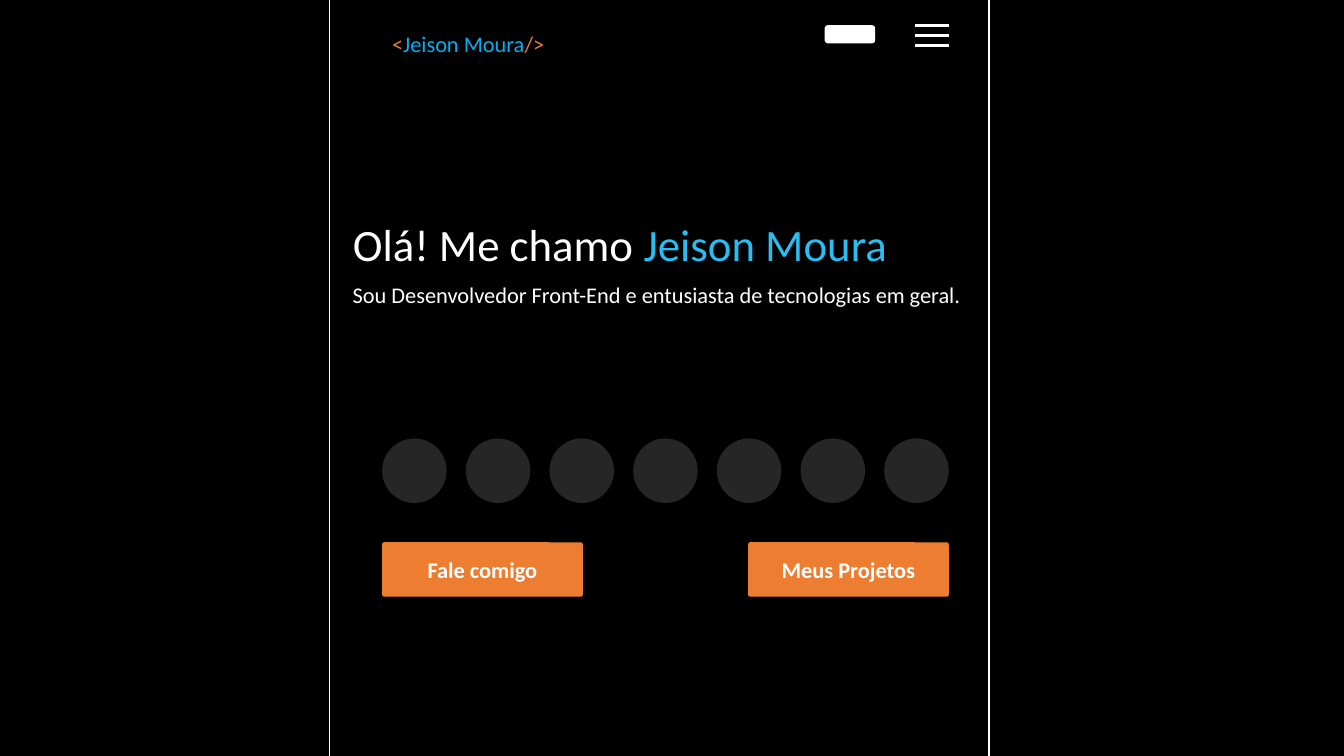
from lxml.etree import SubElement
from pptx import Presentation
from pptx.dml.color import RGBColor
from pptx.enum.shapes import MSO_CONNECTOR, MSO_SHAPE
from pptx.enum.text import MSO_ANCHOR, MSO_AUTO_SIZE, PP_ALIGN
from pptx.oxml.ns import qn
from pptx.util import Inches, Pt

BLACK = "000000"
WHITE = "FFFFFF"
ORANGE = "ED7D31"
LOGO_BLUE = "00B0F0"
NAME_BLUE = "2ABDF2"
DARK_GREY = "262626"


def rgb(hex_color):
    return RGBColor.from_string(hex_color)


class PageBuilder:
    """Holds the text style and the slide being drawn."""

    font = "Calibri"

    def __init__(self, slide):
        self.slide = slide

    def background(self, color):
        fill = self.slide.background.fill
        fill.solid()
        fill.fore_color.rgb = rgb(color)

    def add_runs(self, frame, parts, size, bold=False):
        """Fill the first paragraph with (text, colour) parts."""
        paragraph = frame.paragraphs[0]
        for text, color in parts:
            run = paragraph.add_run()
            run.text = text
            run.font.name = self.font
            run.font.size = Pt(size)
            run.font.bold = bold
            run.font.color.rgb = rgb(color)
        return paragraph

    def one_line(self, holder, parts, size):
        frame = holder.text_frame
        frame.word_wrap = False
        frame.auto_size = MSO_AUTO_SIZE.SHAPE_TO_FIT_TEXT
        frame.vertical_anchor = MSO_ANCHOR.TOP
        self.add_runs(frame, parts, size).alignment = PP_ALIGN.LEFT

    def title(self, left, top, width, height, parts, size):
        heading = self.slide.shapes.title
        heading.left, heading.top = Inches(left), Inches(top)
        heading.width, heading.height = Inches(width), Inches(height)
        self.one_line(heading, parts, size)

    def text(self, left, top, width, height, parts, size):
        box = self.slide.shapes.add_textbox(
            Inches(left), Inches(top), Inches(width), Inches(height))
        self.one_line(box, parts, size)

    def shape(self, preset, left, top, width, height, fill=None, line=None):
        item = self.slide.shapes.add_shape(
            preset, Inches(left), Inches(top), Inches(width), Inches(height))
        item.shadow.inherit = False
        if fill:
            item.fill.solid()
            item.fill.fore_color.rgb = rgb(fill)
        else:
            item.fill.background()
        if line:
            item.line.color.rgb = rgb(line)
            item.line.width = Pt(1)
        else:
            item.line.fill.background()
        return item

    def button(self, left, label):
        item = self.shape(MSO_SHAPE.ROUNDED_RECTANGLE, left, 5.38, 1.99, 0.54, ORANGE)
        item.adjustments[0] = 0.04
        frame = item.text_frame
        frame.vertical_anchor = MSO_ANCHOR.MIDDLE
        self.add_runs(frame, [(label, WHITE)], 16, bold=True).alignment = PP_ALIGN.CENTER

    def horizontal_line(self, left, right, y):
        bar = self.slide.shapes.add_connector(
            MSO_CONNECTOR.STRAIGHT, Inches(left), Inches(y), Inches(right), Inches(y))
        bar.line.color.rgb = rgb(WHITE)
        bar.line.width = Pt(2.25)
        SubElement(bar._element.spPr, qn("a:effectLst"))


def main():
    presentation = Presentation()
    presentation.slide_width = Inches(13.33)
    presentation.slide_height = Inches(7.5)
    title_only = presentation.slide_layouts[5]
    page = PageBuilder(presentation.slides.add_slide(title_only))

    page.background(BLACK)
    page.shape(MSO_SHAPE.RECTANGLE, 3.27, -0.18, 6.54, 7.86, line=WHITE)
    page.text(3.79, 0.25, 1.75, 0.37,
              [("<", ORANGE), ("Jeison Moura", LOGO_BLUE), ("/>", ORANGE)], 16)
    page.title(3.4, 2.1, 5.55, 0.64,
               [("Olá! Me chamo ", WHITE), ("Jeison Moura", NAME_BLUE)], 32)
    page.text(3.4, 2.74, 6.26, 0.37,
              [("Sou Desenvolvedor Front-End e entusiasta de tecnologias em geral.", WHITE)], 16)

    for position in range(7):
        page.shape(MSO_SHAPE.OVAL, 3.79 + 0.83 * position, 4.35, 0.64, 0.64, DARK_GREY)

    page.button(3.79, "Fale comigo")
    page.button(7.42, "Meus Projetos")

    page.shape(MSO_SHAPE.ROUNDED_RECTANGLE, 8.18, 0.25, 0.5, 0.18, WHITE)
    for menu_bar in range(3):
        page.horizontal_line(9.08, 9.41, 0.25 + 0.1 * menu_bar)

    presentation.save("out.pptx")


if __name__ == "__main__":
    main()
